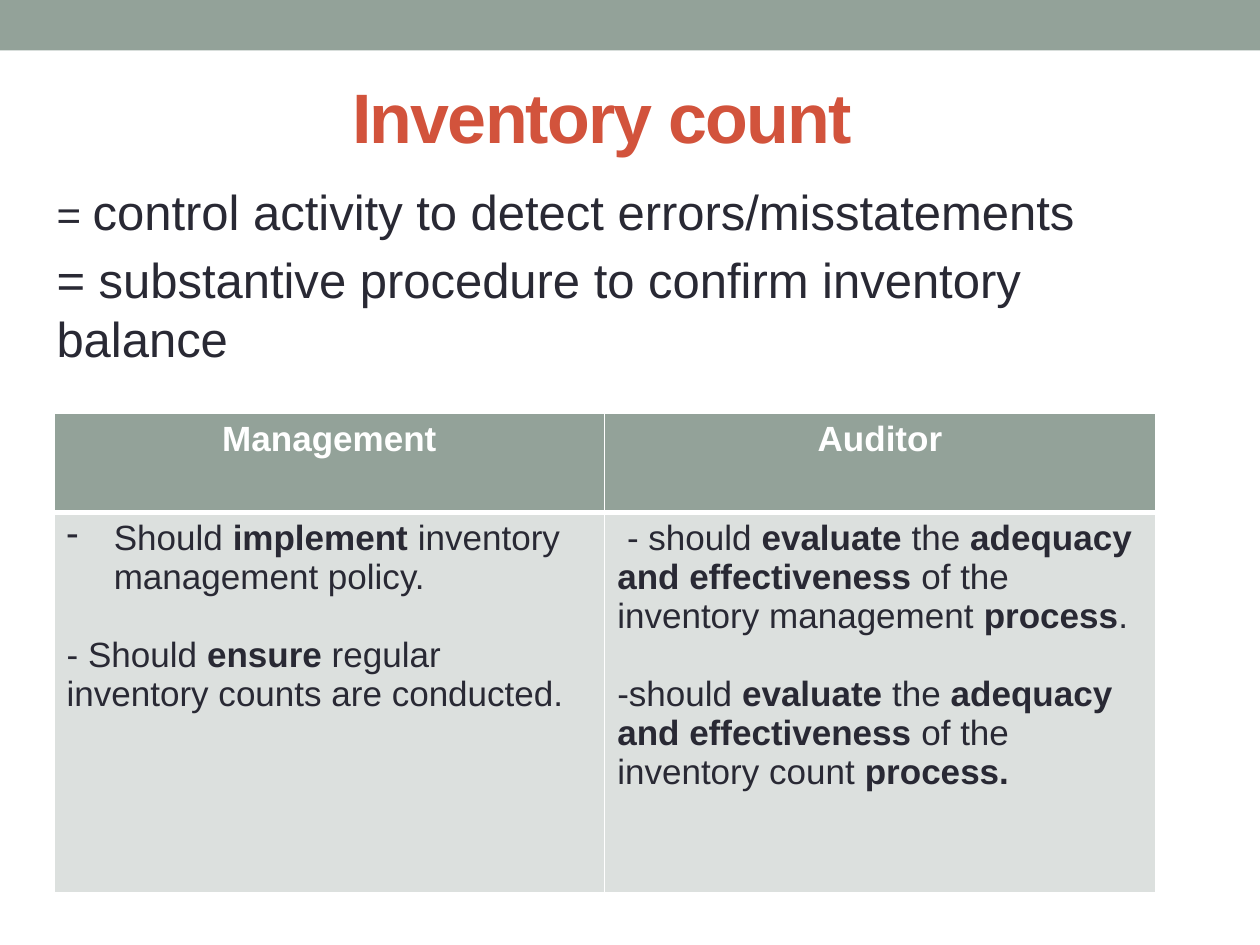
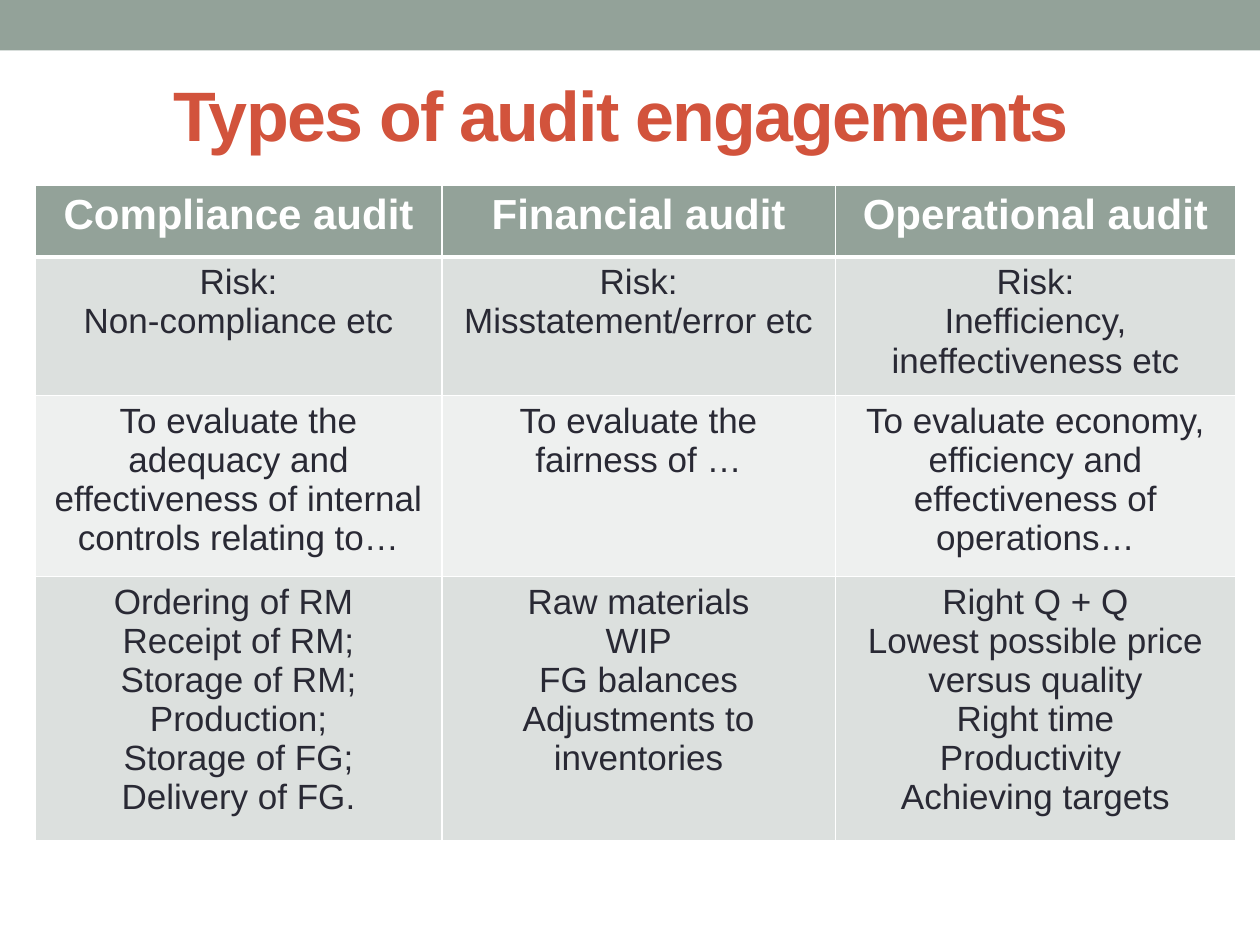
import pptx
import pptx.dml.color
import pptx.enum.shapes
import pptx.enum.text
import pptx.oxml.ns
import pptx.presentation
import pptx.shapes.autoshape
import pptx.slide
import pptx.table
import pptx.text.text
import pptx.util
from dataclasses import dataclass
from lxml import etree

Cm = pptx.util.Cm
Pt = pptx.util.Pt
Align = pptx.enum.text.PP_ALIGN
Anchor = pptx.enum.text.MSO_ANCHOR
qn = pptx.oxml.ns.qn


@dataclass(frozen=True)
class Theme:
    font: str = "Arial"
    sage: str = "93A299"
    rust: str = "D2533C"
    ink: str = "292934"
    white: str = "FFFFFF"
    bands: tuple[str, str] = ("DCE0DE", "EEF0EF")
    title: int = 40
    lead: int = 28
    head: int = 24
    cell: int = 20
    gap: float = 22.3
    thin: int = 1
    thick: int = 3


THEME = Theme()


@dataclass(frozen=True)
class Box:
    left: float
    top: float
    width: float
    height: float

    def lengths(self) -> list[pptx.util.Length]:
        return [Cm(n) for n in (self.left, self.top, self.width, self.height)]


@dataclass(frozen=True)
class Style:
    size: int
    color: str
    bold: bool = False
    align: Align = Align.LEFT
    track: int = 0


@dataclass(frozen=True)
class Para:
    text: str
    before: float = 0
    bullet: str = ""
    indent: float = 0.95
    sign: str = ""


@dataclass(frozen=True)
class Grid:
    left: float
    top: float
    cols: list[float]
    rows: list[float]
    head: Style
    body: Style
    cells: list[list[list[Para]]]


def apply(target: object, values: dict[str, object]) -> None:
    for name, value in values.items():
        setattr(target, name, value)


def rgb(color: str) -> pptx.dml.color.RGBColor:
    return pptx.dml.color.RGBColor.from_string(color)


def add_run(para: pptx.text.text._Paragraph, text: str, style: Style,
            bold: bool, size: int) -> None:
    run = para.add_run()
    run.text = text
    apply(run.font, {"name": THEME.font, "size": Pt(size), "bold": bold})
    run.font.color.rgb = rgb(style.color)
    if style.track:
        run._r.get_or_add_rPr().set("spc", str(style.track * 100))


def write(frame: pptx.text.text.TextFrame, paras: list[Para], style: Style) -> None:
    for index, item in enumerate(paras):
        para = frame.add_paragraph() if index else frame.paragraphs[0]
        apply(para, {"alignment": style.align, "space_before": Pt(item.before)})
        if item.bullet:
            props = para._p.get_or_add_pPr()
            props.set("marL", str(Cm(item.indent)))
            props.set("indent", str(-Cm(item.indent)))
            etree.SubElement(props, qn("a:buChar")).set("char", item.bullet)
        if item.sign:
            add_run(para, item.sign, style, style.bold, THEME.head)
        for part, text in enumerate(item.text.split("*")):
            if text:
                add_run(para, text, style, style.bold or part % 2 == 1, style.size)


def add_text(slide: pptx.slide.Slide, box: Box, paras: list[Para],
             style: Style, anchor: Anchor) -> None:
    frame = slide.shapes.add_textbox(*box.lengths()).text_frame
    apply(frame, {"word_wrap": True, "vertical_anchor": anchor})
    write(frame, paras, style)


def edge(cell: pptx.table._Cell, widths: dict[str, int]) -> None:
    props = cell._tc.get_or_add_tcPr()
    for index, (side, width) in enumerate(widths.items()):
        line = etree.Element(qn(f"a:ln{side}"), w=str(Pt(width)))
        fill = etree.SubElement(line, qn("a:solidFill"))
        etree.SubElement(fill, qn("a:srgbClr")).set("val", THEME.white)
        props.insert(index, line)


def add_grid(slide: pptx.slide.Slide, grid: Grid) -> None:
    box = Box(grid.left, grid.top, sum(grid.cols), sum(grid.rows))
    table = slide.shapes.add_table(len(grid.rows), len(grid.cols), *box.lengths()).table
    for col, width in zip(table.columns, grid.cols):
        col.width = Cm(width)
    for row, height in zip(table.rows, grid.rows):
        row.height = Cm(height)
    for r, line in enumerate(grid.cells):
        for c, paras in enumerate(line):
            cell = table.cell(r, c)
            cell.fill.solid()
            cell.fill.fore_color.rgb = rgb(THEME.bands[(r - 1) % 2] if r else THEME.sage)
            edge(cell, {"L": THEME.thin, "R": THEME.thin,
                        "T": THEME.thick if r == 1 else THEME.thin,
                        "B": THEME.thin if r else THEME.thick})
            write(cell.text_frame, paras, grid.body if r else grid.head)


def add_slide(deck: pptx.presentation.Presentation, title: str, box: Box) -> pptx.slide.Slide:
    slide = deck.slides.add_slide(deck.slide_layouts[6])
    band = slide.shapes.add_shape(pptx.enum.shapes.MSO_SHAPE.RECTANGLE,
                                  *Box(0, 0, 25.4, 1.02).lengths())
    band.shadow.inherit = False
    band.fill.solid()
    band.fill.fore_color.rgb = rgb(THEME.sage)
    band.line.fill.background()
    style = Style(THEME.title, THEME.rust, True, Align.CENTER, -1)
    add_text(slide, box, [Para(title)], style, Anchor.MIDDLE)
    return slide


def lines(*texts: str) -> list[Para]:
    return [Para(text) for text in texts]


def add_count(deck: pptx.presentation.Presentation) -> None:
    slide = add_slide(deck, "Inventory count", Box(0.71, 0.74, 22.86, 3.18))
    lead = [
        Para("control activity to detect errors/misstatements", 5.6, sign="= "),
        Para("= substantive procedure to confirm inventory balance", 5.6),
    ]
    add_text(slide, Box(0.89, 3.53, 22.86, 13.89), lead,
             Style(THEME.lead, THEME.ink), Anchor.TOP)
    duties = [
        Para("Should *implement* inventory management policy.", bullet="-"),
        Para("- Should *ensure* regular inventory counts are conducted.", THEME.gap),
    ]
    checks = [
        Para(" - should *evaluate* the *adequacy and effectiveness *"
             "of the inventory management *process*."),
        Para("-should *evaluate* the *adequacy and effectiveness *"
             "of the inventory count *process.*", THEME.gap),
    ]
    add_grid(slide, Grid(
        1.09, 8.33, [11.1] * 2, [2, 7.66],
        Style(THEME.cell, THEME.white, True, Align.CENTER),
        Style(THEME.cell, THEME.ink),
        [[lines("Management"), lines("Auditor")], [duties, checks]]))


def add_types(deck: pptx.presentation.Presentation) -> None:
    slide = add_slide(deck, "Types of audit engagements", Box(1.09, 0.91, 22.86, 2.74))
    cells = [
        [lines(f"{kind} audit") for kind in ("Compliance", "Financial", "Operational")],
        [lines("Risk:", risk) for risk in (
            "Non-compliance etc", "Misstatement/error etc",
            "Inefficiency, ineffectiveness etc")],
        [lines(f"To evaluate {goal}") for goal in (
            "the adequacy and effectiveness of internal controls relating to…",
            "the fairness of …",
            "economy, efficiency and effectiveness of operations…")],
        [
            lines("Ordering of RM ", "Receipt of RM;", "Storage of RM;",
                  "Production;", "Storage of FG;", "Delivery of FG."),
            lines("Raw materials", "WIP", "FG balances", "Adjustments to inventories"),
            lines("Right Q + Q", "Lowest possible price versus quality",
                  "Right time", "Productivity ", "Achieving targets"),
        ],
    ]
    add_grid(slide, Grid(
        0.71, 3.73, [8.2, 7.93, 8.07], [1.45, 2.62, 3.41, 4.95],
        Style(THEME.head, THEME.white, True, Align.CENTER),
        Style(THEME.cell, THEME.ink, align=Align.CENTER), cells))


def main() -> None:
    deck = pptx.Presentation()
    apply(deck, {"slide_width": Cm(25.4), "slide_height": Cm(19.05)})
    add_count(deck)
    add_types(deck)
    deck.save("out.pptx")


if __name__ == "__main__":
    main()
